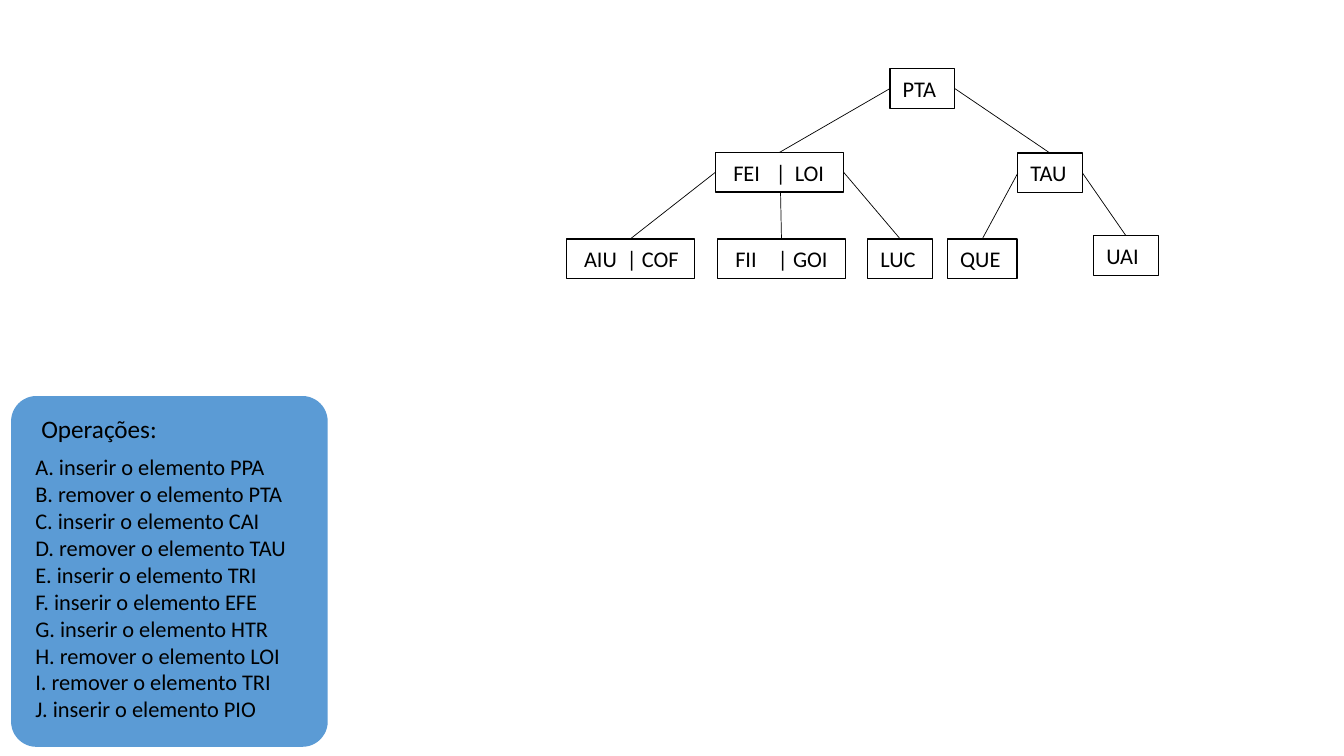
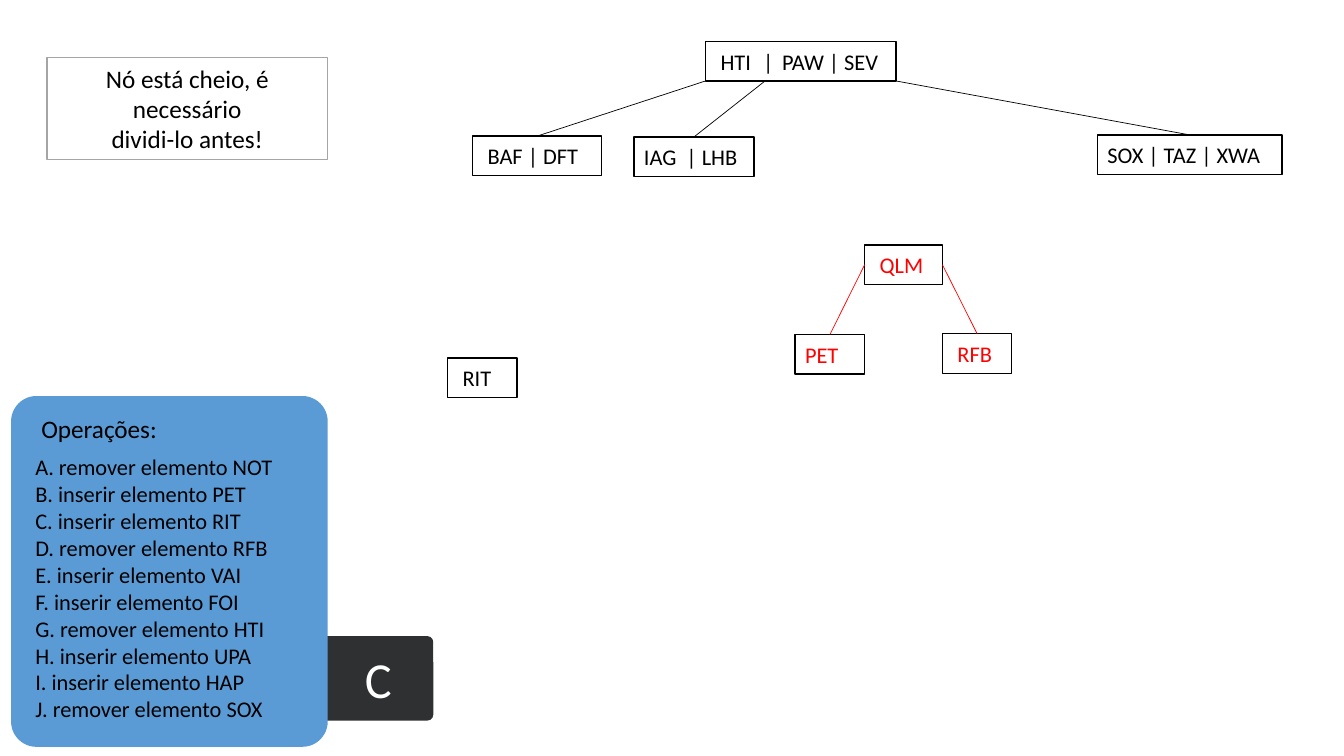
from dataclasses import dataclass

from lxml.etree import SubElement
from pptx import Presentation
from pptx.dml.color import RGBColor
from pptx.enum.shapes import MSO_CONNECTOR as Connector, MSO_SHAPE as Shape
from pptx.enum.text import MSO_ANCHOR as Anchor, MSO_AUTO_SIZE as AutoSize, PP_ALIGN as Align
from pptx.oxml.ns import qn
from pptx.util import Cm, Pt


@dataclass(frozen=True)
class Theme:
    font: str = "Calibri"
    ink: str = "000000"
    paper: str = "FFFFFF"
    panel: str = "5B9BD5"
    badge: str = "2F3031"
    note_line: str = "A5A5A5"
    highlight: str = "FF0000"
    body_size: int = 16
    title_size: int = 18
    badge_size: int = 36
    box_line: float = 1
    edge_line: float = 0.5
    node_height: float = 1
    key_tabs: tuple = (1.07, 1.55)


TOP, LEFT, RIGHT = 0, 1, 3  # connection sites of a rectangle


class TreeDeck:
    def __init__(self, theme):
        self.theme = theme
        self.presentation = Presentation()
        self.presentation.slide_width = Cm(33.87)
        self.presentation.slide_height = Cm(19.05)
        self.slide = None

    def new_slide(self):
        layout = self.presentation.slide_layouts.get_by_name("Title Only")
        self.slide = self.presentation.slides.add_slide(layout)

    def set_text(self, shape, text, size, color=None, align=Align.LEFT,
                 anchor=Anchor.MIDDLE, inset=0.25, right=0.0, tabs=()):
        frame = shape.text_frame
        frame.text = text
        frame.word_wrap = True
        frame.auto_size = AutoSize.NONE
        frame.vertical_anchor = anchor
        frame.margin_left, frame.margin_right = Cm(inset), Cm(right)
        frame.margin_top = frame.margin_bottom = Cm(0)
        for paragraph in frame.paragraphs:
            paragraph.alignment = align
            if tabs:
                tab_list = SubElement(paragraph._p.get_or_add_pPr(), qn("a:tabLst"))
                for position in tabs:
                    SubElement(tab_list, qn("a:tab"), pos=str(Cm(position)), algn="l")
            for run in paragraph.runs:
                run.font.name = self.theme.font
                run.font.size = Pt(size)
                run.font.color.rgb = RGBColor.from_string(color or self.theme.ink)

    def box(self, left, top, width, height, fill, line=None, corner=None):
        kind = Shape.RECTANGLE if corner is None else Shape.ROUNDED_RECTANGLE
        shape = self.slide.shapes.add_shape(kind, Cm(left), Cm(top), Cm(width), Cm(height))
        shape.shadow.inherit = False
        shape.fill.solid()
        shape.fill.fore_color.rgb = RGBColor.from_string(fill)
        if line:
            shape.line.color.rgb = RGBColor.from_string(line)
            shape.line.width = Pt(self.theme.box_line)
        else:
            shape.line.fill.background()
        if corner is not None:
            shape.adjustments[0] = corner
        return shape

    def node(self, keys, left, top, width, inset, color=None):
        theme = self.theme
        shape = self.box(left, top, width, theme.node_height, theme.paper, theme.ink)
        self.set_text(shape, keys, theme.body_size, color, inset=inset,
                      tabs=theme.key_tabs if "\t" in keys else ())
        return shape

    def edge(self, parent, child, site=None, offset=0.0, color=None):
        """Join a site of the parent, or a point on its lower side, to the child's top."""
        line = self.slide.shapes.add_connector(
            Connector.STRAIGHT, parent.left + Cm(offset), parent.top + parent.height,
            child.left, child.top)
        if site is not None:
            line.begin_connect(parent, site)
        line.end_connect(child, TOP)
        line.line.color.rgb = RGBColor.from_string(color or self.theme.ink)
        line.line.width = Pt(self.theme.edge_line)
        SubElement(line.element.spPr, qn("a:effectLst"))

    def operations(self, steps):
        theme = self.theme
        self.box(0.28, 9.98, 7.98, 8.84, theme.panel, corner=0.08)
        listing = self.slide.shapes.add_textbox(Cm(0.64), Cm(11.43), Cm(7.29), Cm(6.84))
        lines = [f"{letter}. {step}" for letter, step in zip("ABCDEFGHIJ", steps)]
        self.set_text(listing, "\n".join(lines), theme.body_size, anchor=Anchor.TOP)
        # The heading is the slide title, raised above the panel
        title = self.slide.shapes.title
        title.left, title.top, title.width, title.height = Cm(0.64), Cm(10.29), Cm(7.06), Cm(1.02)
        self.set_text(title, "Operações:", theme.title_size, inset=0.4)
        title.element.getparent().append(title.element)

    def badge(self, letter):
        shape = self.box(7.44, 16.03, 3.48, 2.13, self.theme.badge, corner=0.07)
        self.set_text(shape, letter, self.theme.badge_size, self.theme.paper,
                      Align.CENTER, inset=0.71)

    def note(self, text):
        shape = self.box(1.19, 1.45, 7.06, 2.57, self.theme.paper, self.theme.note_line)
        self.set_text(shape, text, self.theme.title_size, align=Align.CENTER, right=0.25)


def insertion_slide(deck):
    deck.new_slide()
    deck.operations([
        "inserir o elemento PPA", "remover o elemento PTA", "inserir o elemento CAI",
        "remover o elemento TAU", "inserir o elemento TRI", "inserir o elemento EFE",
        "inserir o elemento HTR", "remover o elemento LOI", "remover o elemento TRI",
        "inserir o elemento PIO"])

    # Tree nodes
    single, double, leaf_top = 0.32, 0.45, 6.02
    pta = deck.node("PTA", 22.43, 1.73, 1.63, single)
    fei_loi = deck.node("FEI\t|\tLOI", 18.03, 3.84, 3.23, double)
    tau = deck.node("TAU", 25.65, 3.86, 1.63, single)
    aiu_cof = deck.node("AIU\t| COF", 14.27, leaf_top, 3.23, double)
    fii_goi = deck.node("FII\t| GOI", 18.08, leaf_top, 3.23, double)
    luc = deck.node("LUC", 21.87, leaf_top, 1.63, single)
    que = deck.node("QUE", 23.88, leaf_top, 1.75, single)
    uai = deck.node("UAI", 27.56, 5.94, 1.63, single)

    # Tree edges
    for parent, child, site in [
            (pta, fei_loi, LEFT), (pta, tau, RIGHT),
            (fei_loi, aiu_cof, LEFT), (fei_loi, luc, RIGHT),
            (tau, que, LEFT), (tau, uai, RIGHT)]:
        deck.edge(parent, child, site)
    deck.edge(fei_loi, fii_goi, offset=1.64)


def split_slide(deck):
    deck.new_slide()
    deck.badge("C")
    deck.operations([
        "remover elemento NOT", "inserir elemento PET", "inserir elemento RIT",
        "remover elemento RFB", "inserir elemento VAI", "inserir elemento FOI",
        "remover elemento HTI", "inserir elemento UPA", "inserir elemento HAP",
        "remover elemento SOX"])
    deck.note("Nó está cheio, é\nnecessário\ndividi-lo antes!")

    # Main tree and the key waiting to be inserted
    near, far = 0.25, 0.38
    root = deck.node("HTI\t|\tPAW | SEV", 17.78, 1.04, 4.8, far)
    baf_dft = deck.node("BAF | DFT", 11.91, 3.43, 3.25, far)
    iag_lhb = deck.node("IAG\t| LHB", 15.98, 3.45, 3.02, near)
    sox_xwa = deck.node("SOX | TAZ | XWA", 27.66, 3.4, 4.65, near)
    deck.node("RIT", 11.28, 9.02, 1.75, far)
    for child, offset in [(baf_dft, 0), (iag_lhb, 1.5), (sox_xwa, 4.8)]:
        deck.edge(root, child, offset=offset)

    # Node being split
    red = deck.theme.highlight
    qlm = deck.node("QLM", 21.79, 6.17, 1.96, far, red)
    pet = deck.node("PET", 20.04, 8.43, 1.75, near, red)
    rfb = deck.node("RFB", 23.75, 8.41, 1.75, far, red)
    deck.edge(qlm, pet, LEFT, color=red)
    deck.edge(qlm, rfb, RIGHT, color=red)


def main():
    deck = TreeDeck(Theme())
    insertion_slide(deck)
    split_slide(deck)
    deck.presentation.save("out.pptx")


if __name__ == "__main__":
    main()
